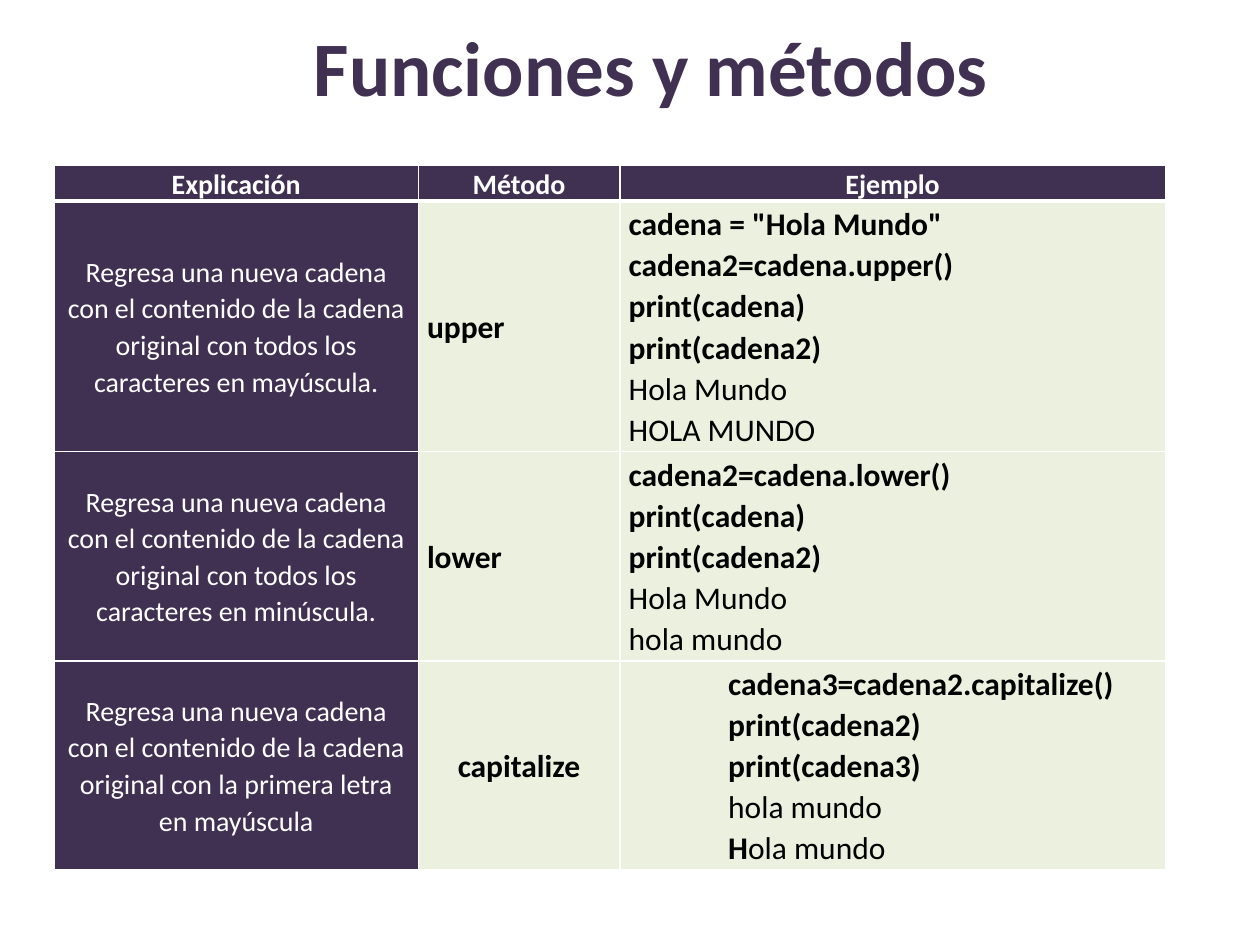
"""Build a slide with a table of Python string methods."""
from lxml import etree
from pptx import Presentation
from pptx.dml.color import RGBColor
from pptx.enum.text import MSO_ANCHOR, PP_ALIGN
from pptx.oxml.ns import qn
from pptx.util import Inches, Pt

CENTER, LEFT = PP_ALIGN.CENTER, PP_ALIGN.LEFT
TOP, MIDDLE = MSO_ANCHOR.TOP, MSO_ANCHOR.MIDDLE
PURPLE = RGBColor(0x40, 0x31, 0x52)
PALE_GREEN = RGBColor(0xEB, 0xF1, 0xDE)
WHITE = RGBColor(0xFF, 0xFF, 0xFF)
BLACK = RGBColor(0, 0, 0)
FONT = "Calibri"

TITLE = "Funciones y métodos"
HEADERS = ["Explicación", "Método", "Ejemplo"]
EXPLANATION = "Regresa una nueva cadena con el contenido de la cadena original con "
METHODS = [
    {"ending": "todos los caracteres en mayúscula.", "name": "upper", "align": LEFT, "indent": 0,
     "code": ['cadena = "Hola Mundo"', "cadena2=cadena.upper()", "print(cadena)", "print(cadena2)"],
     "output": [("", "Hola Mundo"), ("", "HOLA MUNDO")]},
    {"ending": "todos los caracteres en minúscula.", "name": "lower", "align": LEFT, "indent": 0,
     "code": ["cadena2=cadena.lower()", "print(cadena)", "print(cadena2)"],
     "output": [("", "Hola Mundo"), ("", "hola mundo")]},
    {"ending": "la primera letra en mayúscula", "name": "capitalize", "align": CENTER, "indent": 0.79,
     "code": ["cadena3=cadena2.capitalize()", "print(cadena2)", "print(cadena3)"],
     "output": [("", "hola mundo"), ("H", "ola mundo")]},
]
COLUMN_WIDTHS = [2.89, 1.6, 4.33]
ROW_HEIGHTS = [0.28, 1.99, 1.66, 1.66]
TABLE_LEFT, TABLE_TOP = 0.43, 1.31
THIN, THICK = 1, 3


def style_font(font, size, color, bold=None):
    font.name, font.size, font.bold = FONT, Pt(size), bold
    font.color.rgb = color


def add_borders(cell, top, bottom):
    properties = cell._tc.get_or_add_tcPr()
    for side, width in (("L", THIN), ("R", THIN), ("T", top), ("B", bottom)):
        line = etree.SubElement(properties, qn(f"a:ln{side}"), w=str(Pt(width)))
        fill = etree.SubElement(line, qn("a:solidFill"))
        etree.SubElement(fill, qn("a:srgbClr"), val=str(WHITE))


def fill_cell(cell, lines, size, color, fill, align, anchor=MIDDLE, margin=0.07,
              indent=0, top=THIN, bottom=THIN):
    add_borders(cell, top, bottom)
    cell.fill.solid()
    cell.fill.fore_color.rgb = fill
    cell.vertical_anchor = anchor
    cell.margin_left, cell.margin_right = Inches(margin + indent), Inches(margin)
    cell.margin_top = cell.margin_bottom = 0
    for index, parts in enumerate(lines):
        frame = cell.text_frame
        paragraph = frame.add_paragraph() if index else frame.paragraphs[0]
        paragraph.alignment, paragraph.line_spacing = align, 1.07
        style_font(paragraph.font, size, color)
        for text, bold in zip(parts, (True, False)):
            if text:
                run = paragraph.add_run()
                run.text = text
                style_font(run.font, size, color, bold)


def add_title(slide):
    box = slide.shapes.add_textbox(Inches(1.17), Inches(-0.1), Inches(8), Inches(1.25))
    frame = box.text_frame
    frame.word_wrap, frame.vertical_anchor = True, MIDDLE
    paragraph = frame.paragraphs[0]
    paragraph.text, paragraph.alignment = TITLE, CENTER
    style_font(paragraph.font, 44, PURPLE, True)


def add_methods_table(slide):
    table = slide.shapes.add_table(
        len(ROW_HEIGHTS), len(COLUMN_WIDTHS), Inches(TABLE_LEFT), Inches(TABLE_TOP),
        Inches(sum(COLUMN_WIDTHS)), Inches(sum(ROW_HEIGHTS))).table
    table.horz_banding = False
    for column, width in zip(table.columns, COLUMN_WIDTHS):
        column.width = Inches(width)
    for row, height in zip(table.rows, ROW_HEIGHTS):
        row.height = Inches(height)
    for index, header in enumerate(HEADERS):
        fill_cell(table.cell(0, index), [(header, "")], 16, WHITE, PURPLE, CENTER,
                  anchor=TOP, margin=0.03, bottom=THICK)
    for row, method in enumerate(METHODS, 1):
        top = THICK if row == 1 else THIN
        example = [(line, "") for line in method["code"]] + method["output"]
        fill_cell(table.cell(row, 0), [("", EXPLANATION + method["ending"])], 16, WHITE,
                  PURPLE, CENTER, top=top)
        fill_cell(table.cell(row, 1), [(method["name"], "")], 18, BLACK, PALE_GREEN,
                  method["align"], top=top)
        fill_cell(table.cell(row, 2), example, 18, BLACK, PALE_GREEN, LEFT,
                  indent=method["indent"], top=top)


def main():
    presentation = Presentation()
    presentation.slide_width, presentation.slide_height = Inches(10), Inches(7.5)
    slide = presentation.slides.add_slide(presentation.slide_layouts[6])
    add_title(slide)
    add_methods_table(slide)
    presentation.save("out.pptx")


if __name__ == "__main__":
    main()
